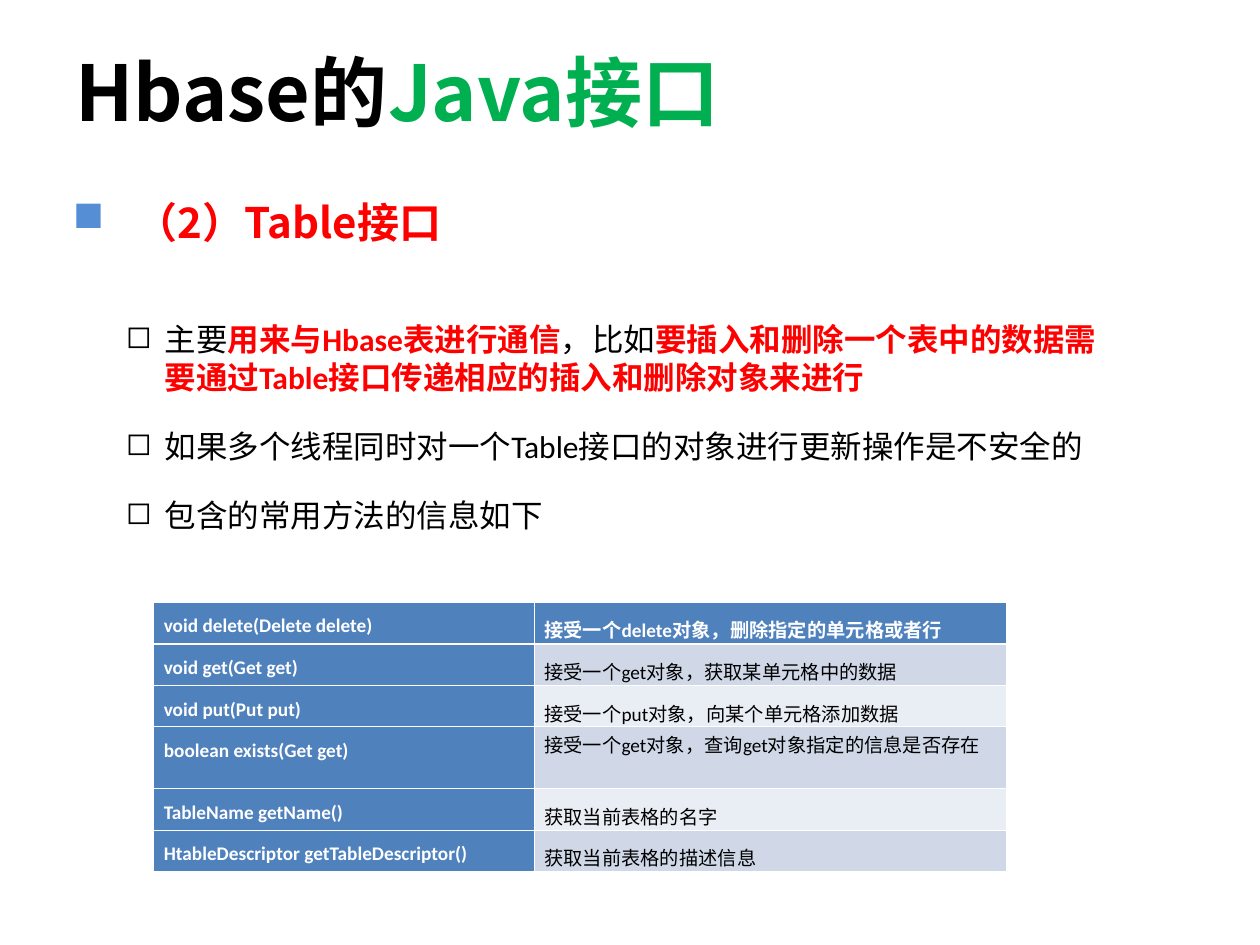
import pptx
import pptx.util
import pptx.dml.color
import pptx.enum.text
import pptx.oxml.ns
from dataclasses import dataclass
from lxml import etree

Inches, Pt = pptx.util.Inches, pptx.util.Pt
RGB = pptx.dml.color.RGBColor.from_string
qn = pptx.oxml.ns.qn


@dataclass(frozen=True)
class Theme:
    heading_font: str = "Noto Sans CJK SC"
    body_font: str = "Calibri"
    black: str = "000000"
    white: str = "FFFFFF"
    red: str = "FF0000"
    green: str = "00B050"
    bullet: str = "558ED5"
    header: str = "4F81BD"
    bands: tuple = ("E9EDF4", "D0D8E8")
    title_size: float = 44
    heading_size: float = 24
    body_size: float = 18
    table_size: float = 11


class Deck:
    def __init__(self, theme):
        self.theme = theme
        self.prs = pptx.Presentation()
        self.prs.slide_width, self.prs.slide_height = Inches(10), Inches(7.5)
        self.s = self.prs.slides.add_slide(self.prs.slide_layouts[5])

    def runs(self, p, parts, size, font):
        """Add (text, colour, bold) parts to a paragraph."""
        for text, color, bold in parts:
            r = p.add_run()
            r.text = text
            for name, value in {"size": Pt(size), "name": font, "bold": bold}.items():
                setattr(r.font, name, value)
            r.font.color.rgb = RGB(color)
            etree.SubElement(r.font._element, qn("a:ea"), typeface=self.theme.heading_font)

    def bullet(self, p, char, color, indent):
        pPr = p._p.get_or_add_pPr()
        pPr.set("marL", str(Inches(indent)))
        pPr.set("indent", str(-Inches(indent)))
        clr = etree.SubElement(pPr, qn("a:buClr"))
        etree.SubElement(clr, qn("a:srgbClr"), val=color)
        etree.SubElement(pPr, qn("a:buChar"), char=char)

    def title(self, box, parts):
        sp = self.s.shapes.title
        sp.left, sp.top, sp.width, sp.height = map(Inches, box)
        tf = sp.text_frame
        tf.vertical_anchor = pptx.enum.text.MSO_ANCHOR.TOP
        tf.paragraphs[0].alignment = pptx.enum.text.PP_ALIGN.LEFT
        self.runs(tf.paragraphs[0], parts, self.theme.title_size, self.theme.heading_font)

    def bullets(self, box, paragraphs, char, color, indent, size, font):
        tf = self.s.shapes.add_textbox(*map(Inches, box)).text_frame
        tf.word_wrap = True
        for i, parts in enumerate(paragraphs):
            p = tf.add_paragraph() if i else tf.paragraphs[0]
            self.bullet(p, char, color, indent)
            if i:
                p.space_before = Pt(18)
            self.runs(p, parts, size, font)

    def border(self, cell, side, width):
        tcPr = cell._tc.get_or_add_tcPr()
        ln = etree.SubElement(tcPr, qn("a:ln" + side), w=str(Pt(width)))
        fill = etree.SubElement(ln, qn("a:solidFill"))
        etree.SubElement(fill, qn("a:srgbClr"), val=self.theme.white)

    def cell(self, cell, text, row, col, spacing):
        t = self.theme
        strong = row == 0 or col == 0
        thick = {"T": row == 1, "B": row == 0}
        for side in "LRTB":
            self.border(cell, side, 1.47 if thick.get(side) else 0.45)
        cell.fill.solid()
        cell.fill.fore_color.rgb = RGB(t.header if strong else t.bands[row % 2])
        margins = {"margin_left": 0.08, "margin_right": 0.08,
                   "margin_top": 0.05, "margin_bottom": 0.05}
        for name, value in margins.items():
            setattr(cell, name, Inches(value))
        p = cell.text_frame.paragraphs[0]
        p.alignment = pptx.enum.text.PP_ALIGN.JUSTIFY
        p.line_spacing = spacing
        self.runs(p, [(text, t.white if strong else t.black, strong)],
                  t.table_size, t.body_font)

    def table(self, box, rows, widths, height, tall):
        """Build the table; tall maps a row to its height for wrapped text."""
        table = self.s.shapes.add_table(len(rows), len(widths), *map(Inches, box)).table
        for col, width in enumerate(widths):
            table.columns[col].width = Inches(width)
        for i, row in enumerate(rows):
            table.rows[i].height = Inches(tall.get(i, height))
            for j, text in enumerate(row):
                spacing = Pt(14) if i in tall and j else 1.25
                self.cell(table.cell(i, j), text, i, j, spacing)


def main():
    t = Theme()
    deck = Deck(t)

    # Title and section heading
    deck.title((0.5, 0.3, 9, 1.25),
               [("Hbase的", t.black, True), ("Java接口", t.green, True)])
    deck.bullets((0.48, 1.51, 9.44, 0.5), [[("（2）Table接口", t.red, True)]],
                 "■", t.bullet, 0.5, t.heading_size, t.heading_font)

    # Explanation
    points = [
        [("主要", t.black, False), ("用来与Hbase表进行通信", t.red, True),
         ("，比如", t.black, False),
         ("要插入和删除一个表中的数据需要通过Table接口传递相应的插入和删除对象来进行", t.red, True)],
        [("如果多个线程同时对一个Table接口的对象进行更新操作是不安全的", t.black, False)],
        [("包含的常用方法的信息如下", t.black, False)],
    ]
    deck.bullets((0.9, 2.49, 8.03, 1.8), points,
                 "◻", t.black, 0.31, t.body_size, t.body_font)

    # Common methods
    methods = [
        ("void delete(Delete delete)", "接受一个delete对象，删除指定的单元格或者行"),
        ("void get(Get get)", "接受一个get对象，获取某单元格中的数据"),
        ("void put(Put put)", "接受一个put对象，向某个单元格添加数据"),
        ("boolean exists(Get get)", "接受一个get对象，查询get对象指定的信息是否存在"),
        ("TableName getName()", "获取当前表格的名字"),
        ("HtableDescriptor getTableDescriptor()", "获取当前表格的描述信息"),
    ]
    deck.table((1.22, 4.78, 6.77, 1.54), methods, (3.02, 3.75), 0.23, {3: 0.39})

    deck.prs.save("out.pptx")


if __name__ == "__main__":
    main()
